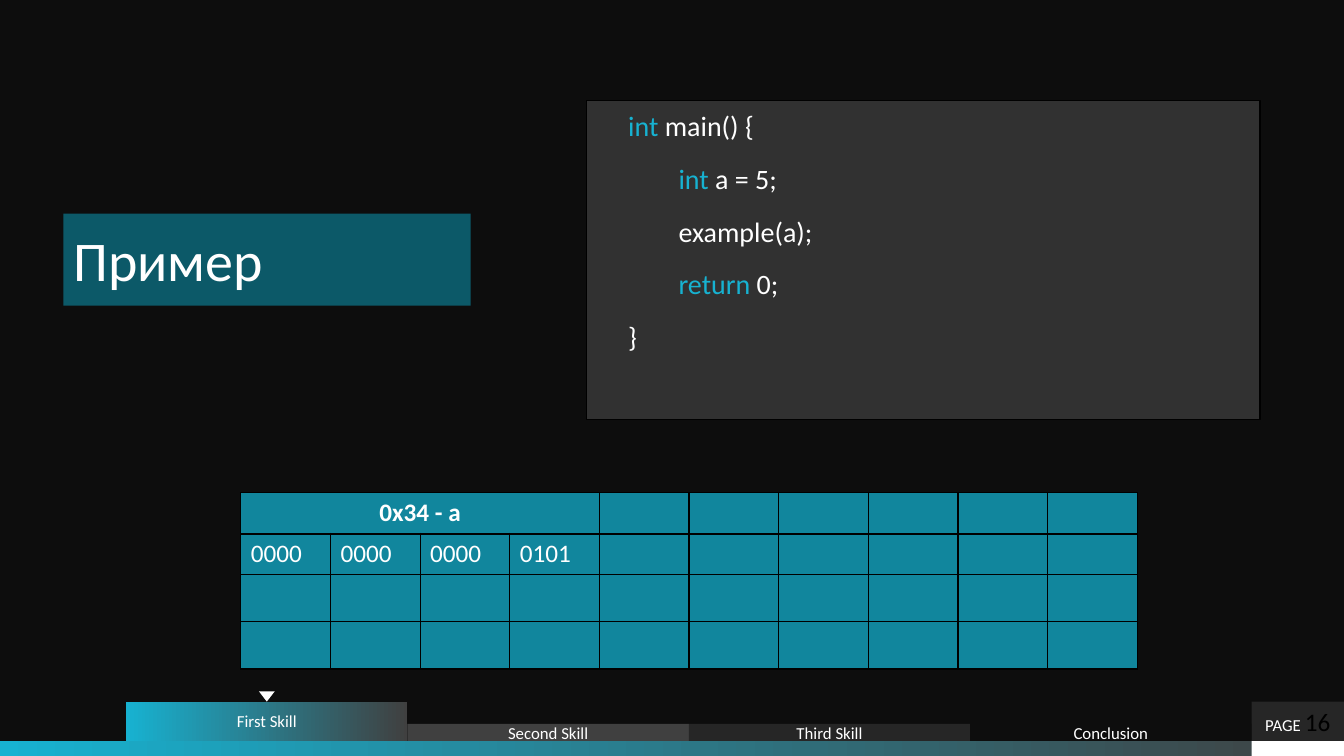
"""Builds the "Пример" slide: a code listing, a memory table and a navigation bar."""
import pptx
import pptx.dml.color
import pptx.enum.shapes
import pptx.enum.text
import pptx.oxml
import pptx.oxml.ns
import pptx.util
from pptx.util import Cm

RGBColor = pptx.dml.color.RGBColor
BLACK = RGBColor(0x00, 0x00, 0x00)
NIGHT = RGBColor(0x0D, 0x0D, 0x0D)
COAL = RGBColor(0x26, 0x26, 0x26)
GREY = RGBColor(0x40, 0x40, 0x40)
WHITE = RGBColor(0xFF, 0xFF, 0xFF)
CYAN = RGBColor(0x17, 0xB2, 0xD1)
TEAL = RGBColor(0x11, 0x86, 0x9D)
DEEP_TEAL = RGBColor(0x0C, 0x59, 0x68)

ALIGN = pptx.enum.text.PP_ALIGN
ANCHOR = pptx.enum.text.MSO_ANCHOR
FADE = [CYAN, GREY]


def write(paragraph, text, size=12, color=WHITE, bold=False, font="Calibri"):
    run = paragraph.add_run()
    run.text = text
    run.font.name = font
    run.font.size = pptx.util.Pt(size)
    run.font.bold = bold
    run.font.color.rgb = color


def add_xml(parent, tag, **attributes):
    child = pptx.oxml.parse_xml(f"<{tag} {pptx.oxml.ns.nsdecls('a')}/>")
    for name, value in attributes.items():
        child.set(name, str(value))
    parent.append(child)
    return child


class Deck:
    def __init__(self):
        self.deck = pptx.Presentation()
        self.deck.slide_width, self.deck.slide_height = Cm(33.87), Cm(19.05)
        self.slide = self.deck.slides.add_slide(self.deck.slide_layouts[1])
        self.slide.background.fill.solid()
        self.slide.background.fill.fore_color.rgb = NIGHT

    def paint(self, shape, fill):
        if isinstance(fill, list):
            shape.fill.gradient()
            shape.fill.gradient_angle = 0
            for stop, color in zip(shape.fill.gradient_stops, fill):
                stop.color.rgb = color
        else:
            shape.fill.solid()
            shape.fill.fore_color.rgb = fill

    def place(self, holder, box, margins, anchor):
        holder.left, holder.top, holder.width, holder.height = map(Cm, box)
        frame = holder.text_frame
        frame.word_wrap = True
        frame.auto_size = pptx.enum.text.MSO_AUTO_SIZE.NONE
        frame.vertical_anchor = anchor
        frame.margin_left = frame.margin_right = Cm(margins[0])
        frame.margin_top = frame.margin_bottom = Cm(margins[1])
        return frame

    def title(self, text, box):
        heading = self.slide.shapes.title
        self.paint(heading, DEEP_TEAL)
        frame = self.place(heading, box, (0.25, 0.3), ANCHOR.MIDDLE)
        frame.paragraphs[0].alignment = ALIGN.LEFT
        write(frame.paragraphs[0], text, size=40)

    def code(self, lines, box):
        listing = self.slide.placeholders[1]
        self.paint(listing, WHITE)
        tint = listing.element.spPr.find(".//" + pptx.oxml.ns.qn("a:srgbClr"))
        add_xml(tint, "a:alpha", val=15000)
        listing.line.color.rgb = BLACK
        listing.line.width = pptx.util.Pt(1)
        frame = self.place(listing, box, (0.41, 0.3), ANCHOR.TOP)
        for index, line in enumerate(lines):
            paragraph = frame.add_paragraph() if index else frame.paragraphs[0]
            paragraph.alignment = ALIGN.LEFT
            paragraph.line_spacing = 0.9
            paragraph.space_before = pptx.util.Pt(10)
            paragraph.space_after = pptx.util.Pt(6)
            layout = paragraph._p.get_or_add_pPr()
            layout.set("marL", str(Cm(0.64)))
            layout.set("indent", "0")
            add_xml(layout, "a:buNone")
            add_xml(add_xml(layout, "a:tabLst"), "a:tab", pos=Cm(3.39), algn="l")
            for text, color in line:
                write(paragraph, text, size=20, color=color)

    def block(self, box, fill, *texts):
        block = self.slide.shapes.add_shape(
            pptx.enum.shapes.MSO_SHAPE.RECTANGLE, *map(Cm, box))
        block.shadow.inherit = False
        block.line.fill.background()
        self.paint(block, fill)
        block.text_frame.vertical_anchor = ANCHOR.MIDDLE
        block.text_frame.word_wrap = True
        paragraph = block.text_frame.paragraphs[0]
        paragraph.alignment = ALIGN.CENTER
        for text, style in texts:
            write(paragraph, text, **style)

    def pointer(self, center, top, width, height):
        left, right = Cm(center - width / 2), Cm(center + width / 2)
        builder = self.slide.shapes.build_freeform(left, Cm(top))
        builder.add_line_segments([(right, Cm(top)), (Cm(center), Cm(top + height))])
        marker = builder.convert_to_shape()
        marker.shadow.inherit = False
        marker.line.fill.background()
        self.paint(marker, WHITE)

    def border(self, cell, **widths):
        properties = cell._tc.get_or_add_tcPr()
        for side in "LRTB":
            width = pptx.util.Pt(widths.get(side, 0.96))
            edge = add_xml(properties, f"a:ln{side}", w=width)
            add_xml(add_xml(edge, "a:solidFill"), "a:srgbClr", val=BLACK)

    def memory(self, label, values, left, top, column, heights, columns=10):
        grid = self.slide.shapes.add_table(
            len(heights), columns, Cm(left), Cm(top),
            Cm(column * columns), Cm(sum(heights))).table
        for width in grid.columns:
            width.width = Cm(column)
        for index, height in enumerate(heights):
            grid.rows[index].height = Cm(height)
            heavy = {0: {"B": 1.98}, 1: {"T": 1.98}}.get(index, {})
            for cell in grid.rows[index].cells:
                self.border(cell, **heavy)
                self.paint(cell, TEAL)
        grid.cell(0, 0).merge(grid.cell(0, len(values) - 1))
        heading = grid.cell(0, 0).text_frame.paragraphs[0]
        heading.alignment = ALIGN.CENTER
        write(heading, label, size=18, bold=True)
        for index, value in enumerate(values):
            write(grid.cell(1, index).text_frame.paragraphs[0], value, size=18)


def main():
    deck = Deck()
    bar_top, bar_height = 18.67, 0.38
    nav_left, nav_width = 3.18, 7.09
    page_left, page_width = 31.54, 2.33
    tall_top, low_top = 17.68, 18.24

    deck.block((0, bar_top, 33.87, bar_height), FADE)
    deck.block((page_left, bar_top, page_width, bar_height), WHITE)
    deck.title("Пример", (1.6, 5.38, 10.26, 2.32))
    deck.block((page_left, tall_top, page_width, bar_top - tall_top), COAL,
               ("PAGE ", {}), ("16", {"size": 18, "color": BLACK}))

    sections = [("First Skill", FADE, tall_top), ("Second Skill", GREY, low_top),
                ("Third Skill", COAL, low_top), ("Conclusion", NIGHT, low_top)]
    for index, (name, fill, top) in enumerate(sections):
        deck.block((nav_left + index * nav_width, top, nav_width, bar_top - top),
                   fill, (name, {}))
    deck.pointer(nav_left + nav_width / 2, 17.42, 0.4, 0.26)

    deck.code([
        [("int", CYAN), (" main() {", WHITE)],
        [("\t", WHITE), ("int", CYAN), (" a = 5;", WHITE)],
        [("\texample(a);", WHITE)],
        [("\t", WHITE), ("return", CYAN), (" 0;", WHITE)],
        [("}", WHITE)],
    ], (14.78, 2.54, 16.97, 8.03))
    deck.memory("0x34 - a", ["0000", "0000", "0000", "0101"],
                left=6.07, top=12.42, column=2.26, heights=[0.99, 0.99, 1.19, 1.19])
    deck.deck.save("out.pptx")


if __name__ == "__main__":
    main()
